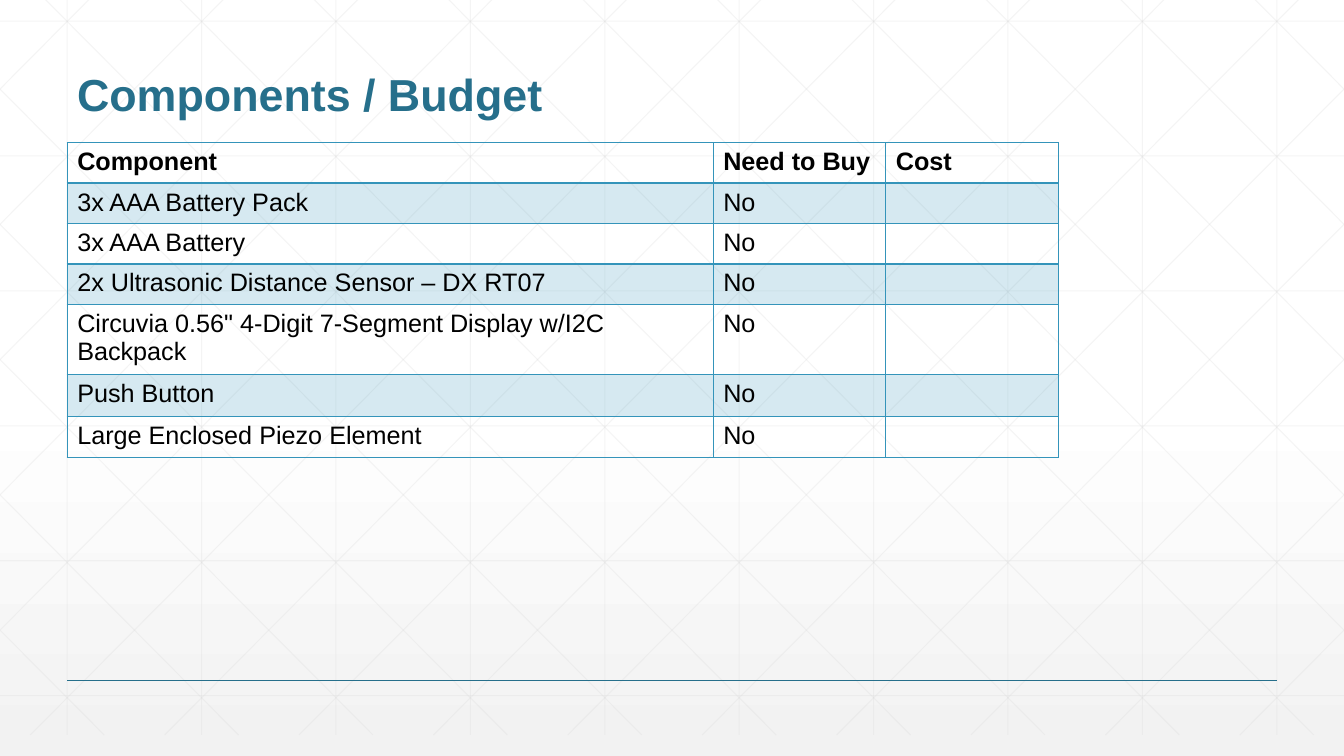
from dataclasses import dataclass

from lxml.etree import SubElement
from pptx import Presentation
from pptx.dml.color import RGBColor
from pptx.enum.shapes import MSO_CONNECTOR
from pptx.enum.text import MSO_ANCHOR
from pptx.oxml.ns import qn
from pptx.shapes.connector import Connector
from pptx.slide import Slide
from pptx.table import _Cell
from pptx.text.text import _Paragraph
from pptx.util import Cm, Pt

WIDTH, HEIGHT = 33.87, 19.05
PITCH = WIDTH / 10
MARGIN = PITCH / 2
GRID_TOP, GRID_BOTTOM = -0.53, 18.52
ROW_START, ROW_PITCH = 0.53, 3.4
DIAGONAL_START, DIAGONAL_RUN = 0.63, 18.93
FONT = "Arial"
TEAL, BLUE, GREY, BLACK = "266F8B", "3494BA", "D8D8D8", "000000"


@dataclass(frozen=True)
class Line:
    x1: float
    y1: float
    x2: float
    y2: float


@dataclass(frozen=True)
class Item:
    name: str
    need: str
    height: float
    cost: str = ""


ITEMS = [
    Item("Component", "Need to Buy", 0.81, "Cost"),
    Item("3x AAA Battery Pack", "No", 0.81),
    Item("3x AAA Battery", "No", 0.81),
    Item("2x Ultrasonic Distance Sensor – DX RT07", "No", 0.81),
    Item('Circuvia 0.56" 4-Digit 7-Segment Display w/I2C Backpack', "No", 1.37),
    Item("Push Button", "No", 1.04),
    Item("Large Enclosed Piezo Element", "No", 1.04),
]
COLUMNS = [16.28, 4.35, 4.35]


def rgb(color: str) -> RGBColor:
    return RGBColor.from_string(color)


def set_alpha(element, percent: int) -> None:
    color = next(element.iter(qn("a:srgbClr")))
    SubElement(color, qn("a:alpha"), val=str(percent * 1000))


def add_run(p: _Paragraph, text: str, size: int, color: str, bold: bool) -> None:
    r = p.add_run()
    r.text = text
    r.font.name = FONT
    r.font.size = Pt(size)
    r.font.bold = bold
    r.font.color.rgb = rgb(color)


def draw_line(shapes, line: Line, color: str, width: float) -> Connector:
    sp = shapes.add_connector(MSO_CONNECTOR.STRAIGHT, Cm(line.x1), Cm(line.y1),
                              Cm(line.x2), Cm(line.y2))
    sp.line.color.rgb = rgb(color)
    sp.line.width = Pt(width)
    SubElement(sp.element.spPr, qn("a:effectLst"))
    return sp


def diagonal(start: float) -> Line:
    slope = (GRID_BOTTOM - GRID_TOP) / DIAGONAL_RUN
    left, right = max(start, 0), min(start + DIAGONAL_RUN, WIDTH)
    return Line(left, GRID_TOP + (left - start) * slope,
                right, GRID_TOP + (right - start) * slope)


def mirror(line: Line) -> Line:
    return Line(WIDTH - line.x1, line.y1, WIDTH - line.x2, line.y2)


def grid_lines() -> list[Line]:
    columns = [MARGIN + i * PITCH for i in range(10)]
    rows = [ROW_START + i * ROW_PITCH for i in range(6)]
    falling = [diagonal(DIAGONAL_START + i * PITCH) for i in range(-5, 10)]
    return ([Line(x, GRID_TOP, x, GRID_BOTTOM) for x in columns]
            + [Line(0, y, WIDTH, y) for y in rows]
            + falling + [mirror(line) for line in falling])


def draw_background(s: Slide) -> None:
    fill = s.background.fill
    fill.gradient()
    fill.gradient_angle = 270
    stops = next(s.element.iter(qn("a:gsLst")))
    for stop in list(stops):
        stops.remove(stop)
    for position, color in [(0, "FFFFFF"), (53, "FFFFFF"), (100, "F2F2F2")]:
        stop = SubElement(stops, qn("a:gs"), pos=str(position * 1000))
        SubElement(stop, qn("a:srgbClr"), val=color)
    set_alpha(stop, 65)
    grid = s.shapes.add_group_shape()
    for line in grid_lines():
        sp = draw_line(grid.shapes, line, GREY, 0.75)
        set_alpha(sp.element.spPr, 25)


def draw_title(s: Slide, text: str) -> None:
    sp = s.shapes.add_textbox(Cm(MARGIN), Cm(0.64), Cm(30.48), Cm(2.54))
    tf = sp.text_frame
    tf.word_wrap = True
    tf.vertical_anchor = MSO_ANCHOR.BOTTOM
    p = tf.paragraphs[0]
    p.line_spacing = 0.9
    add_run(p, text, 32, TEAL, True)


def set_borders(cell: _Cell, bottom: float) -> None:
    tc_pr = cell._tc.get_or_add_tcPr()
    widths = {"a:lnL": 1, "a:lnR": 1, "a:lnT": 1, "a:lnB": bottom}
    for i, (side, width) in enumerate(widths.items()):
        ln = SubElement(tc_pr, qn(side), w=str(Pt(width)))
        SubElement(SubElement(ln, qn("a:solidFill")), qn("a:srgbClr"), val=BLUE)
        tc_pr.insert(i, ln)


def draw_table(s: Slide, items: list[Item]) -> None:
    frame = s.shapes.add_table(len(items), len(COLUMNS), Cm(MARGIN), Cm(3.6),
                               Cm(sum(COLUMNS)), Cm(sum(i.height for i in items)))
    table = frame.table
    table.first_row = table.horz_banding = False
    for column, width in zip(table.columns, COLUMNS):
        column.width = Cm(width)
    for n, (row, item) in enumerate(zip(table.rows, items)):
        row.height = Cm(item.height)
        for cell, text in zip(row.cells, [item.name, item.need, item.cost]):
            if text:
                add_run(cell.text_frame.paragraphs[0], text, 18, BLACK, n == 0)
            if n % 2:
                cell.fill.solid()
                cell.fill.fore_color.rgb = rgb(BLUE)
                set_alpha(cell._tc.tcPr, 20)
            else:
                cell.fill.background()
            set_borders(cell, 2 if n == 0 else 1)


def main() -> None:
    prs = Presentation()
    prs.slide_width, prs.slide_height = Cm(WIDTH), Cm(HEIGHT)
    s = prs.slides.add_slide(prs.slide_layouts[6])
    draw_background(s)
    draw_line(s.shapes, Line(MARGIN, 17.15, WIDTH - MARGIN, 17.15), TEAL, 1)
    draw_title(s, "Components / Budget")
    draw_table(s, ITEMS)
    prs.save("out.pptx")


if __name__ == "__main__":
    main()
